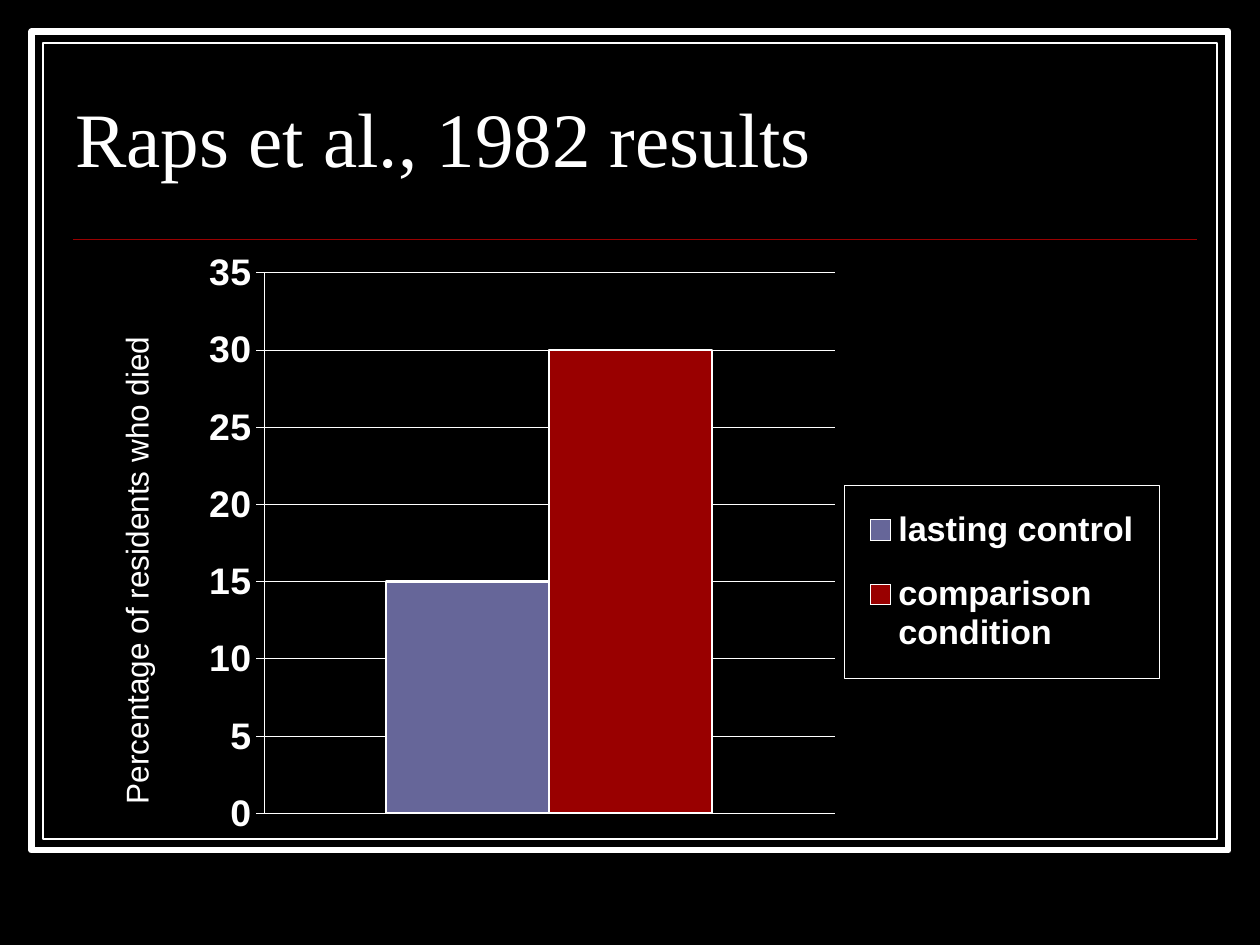
from lxml import etree
from pptx import Presentation
from pptx.chart.data import CategoryChartData
from pptx.dml.color import RGBColor
from pptx.enum.chart import XL_CHART_TYPE, XL_LEGEND_POSITION, XL_TICK_MARK
from pptx.enum.shapes import MSO_CONNECTOR, MSO_SHAPE
from pptx.enum.text import MSO_ANCHOR, PP_ALIGN
from pptx.oxml.ns import qn
from pptx.util import Inches, Pt

COLUMN = XL_CHART_TYPE.COLUMN_CLUSTERED
LEGEND_RIGHT = XL_LEGEND_POSITION.RIGHT
TICK_OUT, TICK_NONE = XL_TICK_MARK.OUTSIDE, XL_TICK_MARK.NONE
RECT, STRAIGHT = MSO_SHAPE.RECTANGLE, MSO_CONNECTOR.STRAIGHT
TOP, BOTTOM, LEFT = MSO_ANCHOR.TOP, MSO_ANCHOR.BOTTOM, PP_ALIGN.LEFT

COLORS = {"back": "000000", "text": "FFFFFF", "rule": "990000",
          "control": "666699", "comparison": "990000"}
TITLE_FONT = {"name": "Times New Roman", "size": Pt(44), "bold": False}
LABEL_FONT = {"name": "Arial", "size": Pt(18), "bold": False}
AXIS_FONT = {"name": "Arial", "size": Pt(21.4), "bold": True}
LEGEND_FONT = {"name": "Arial", "size": Pt(19.6), "bold": True}
SERIES = [("lasting control", 15, "control"),
          ("comparison condition", 30, "comparison")]


def rgb(name):
    return RGBColor.from_string(COLORS[name])


def set_font(font, values):
    for key, value in values.items():
        setattr(font, key, value)
    font.color.rgb = rgb("text")


def set_fill(fill, color):
    fill.solid()
    fill.fore_color.rgb = rgb(color)


def set_line(line, color, width):
    line.color.rgb = rgb(color)
    line.width = Pt(width)


def set_layout(parent, after, box, inner=False):
    """Place a chart part by fractions of the chart: left, top, width, height."""
    for old in parent.findall(qn("c:layout")):
        parent.remove(old)
    layout = etree.Element(qn("c:layout"))
    manual = etree.SubElement(layout, qn("c:manualLayout"))
    values = [("layoutTarget", "inner")] if inner else []
    values += [("xMode", "edge"), ("yMode", "edge")]
    values += zip("xywh", map(str, box))
    for tag, value in values:
        etree.SubElement(manual, qn(f"c:{tag}")).set("val", value)
    if after is None:
        parent.insert(0, layout)
    else:
        after.addnext(layout)


def add_frame(slide, left, top, width, height):
    """Draw the double border and the rule under the title."""
    for inset, weight in ((0, 3.5), (0.09, 0.75)):
        sp = slide.shapes.add_shape(
            RECT, Inches(left + inset), Inches(top + inset),
            Inches(width - 2 * inset), Inches(height - 2 * inset))
        sp.shadow.inherit = False
        set_fill(sp.fill, "back")
        set_line(sp.line, "text", weight)
    rule_y = Inches(top + 1.65)
    rule = slide.shapes.add_connector(
        STRAIGHT, Inches(left + 0.33), rule_y, Inches(left + width - 0.25), rule_y)
    set_line(rule.line, "rule", 1)
    etree.SubElement(rule.element.spPr, qn("a:effectLst"))


def add_title(slide, left, top, width, height):
    title = slide.shapes.title
    slide.shapes.element.append(title.element)  # in front of the frame
    title.left, title.top = Inches(left), Inches(top)
    title.width, title.height = Inches(width), Inches(height)
    tf = title.text_frame
    tf.vertical_anchor = BOTTOM
    p = tf.paragraphs[0]
    p.alignment = LEFT
    p.line_spacing = 0.8
    r = p.add_run()
    r.text = "Raps et al., 1982 results"
    set_font(r.font, TITLE_FONT)


def add_results_chart(slide, left, top, width, height):
    data = CategoryChartData()
    data.categories = ["1"]
    for name, value, _ in SERIES:
        data.add_series(name, [value])
    chart = slide.shapes.add_chart(
        COLUMN, Inches(left), Inches(top), Inches(width), Inches(height), data).chart
    chart.has_title = False
    set_font(chart.font, AXIS_FONT)

    plot = chart.plots[0]
    plot.gap_width, plot.overlap = 150, 0
    plot.vary_by_categories = False
    for series, (_, _, color) in zip(plot.series, SERIES):
        set_fill(series.format.fill, color)
        set_line(series.format.line, "text", 1.19)

    chart.category_axis.visible = False
    axis = chart.value_axis
    axis.minimum_scale, axis.maximum_scale, axis.major_unit = 0, 35, 5
    axis.major_tick_mark, axis.minor_tick_mark = TICK_OUT, TICK_NONE
    axis.has_major_gridlines = True
    set_font(axis.tick_labels.font, AXIS_FONT)
    for line in (axis.format.line, axis.major_gridlines.format.line):
        set_line(line, "text", 0.3)

    chart.has_legend = True
    legend = chart.legend
    legend.position = LEGEND_RIGHT
    legend.include_in_layout = False
    set_font(legend.font, LEGEND_FONT)
    legend_xml = legend.font and chart.element.find(".//" + qn("c:legend"))
    set_layout(legend_xml, legend_xml.find(qn("c:legendPos")), (0.67, 0.35, 0.32, 0.3))
    border = etree.Element(qn("c:spPr"))
    ln = etree.SubElement(border, qn("a:ln"), w=str(Pt(0.3)))
    fill = etree.SubElement(ln, qn("a:solidFill"))
    etree.SubElement(fill, qn("a:srgbClr"), val=COLORS["text"])
    legend_xml.find(qn("c:txPr")).addprevious(border)
    plot_area = chart.element.find(".//" + qn("c:plotArea"))
    set_layout(plot_area, None, (0.08, 0.02, 0.58, 0.84), inner=True)


def add_axis_label(slide, left, top, width, height):
    sp = slide.shapes.add_textbox(Inches(left), Inches(top), Inches(width), Inches(height))
    sp.rotation = 270
    set_fill(sp.fill, "back")
    tf = sp.text_frame
    tf.word_wrap = False
    tf.vertical_anchor = TOP
    r = tf.paragraphs[0].add_run()
    r.text = "Percentage of residents who died"
    set_font(r.font, LABEL_FONT)


def main():
    prs = Presentation()
    prs.slide_width, prs.slide_height = Inches(10), Inches(7.5)
    slide = prs.slides.add_slide(prs.slide_layouts[5])
    set_fill(slide.background.fill, "back")
    add_frame(slide, 0.25, 0.25, 9.5, 6.5)
    add_title(slide, 0.5, 0.25, 9, 1.25)
    add_results_chart(slide, 1.47, 2, 7.81, 5.17)
    add_axis_label(slide, -0.74, 4.15, 3.95, 0.71)
    prs.save("out.pptx")


if __name__ == "__main__":
    main()
